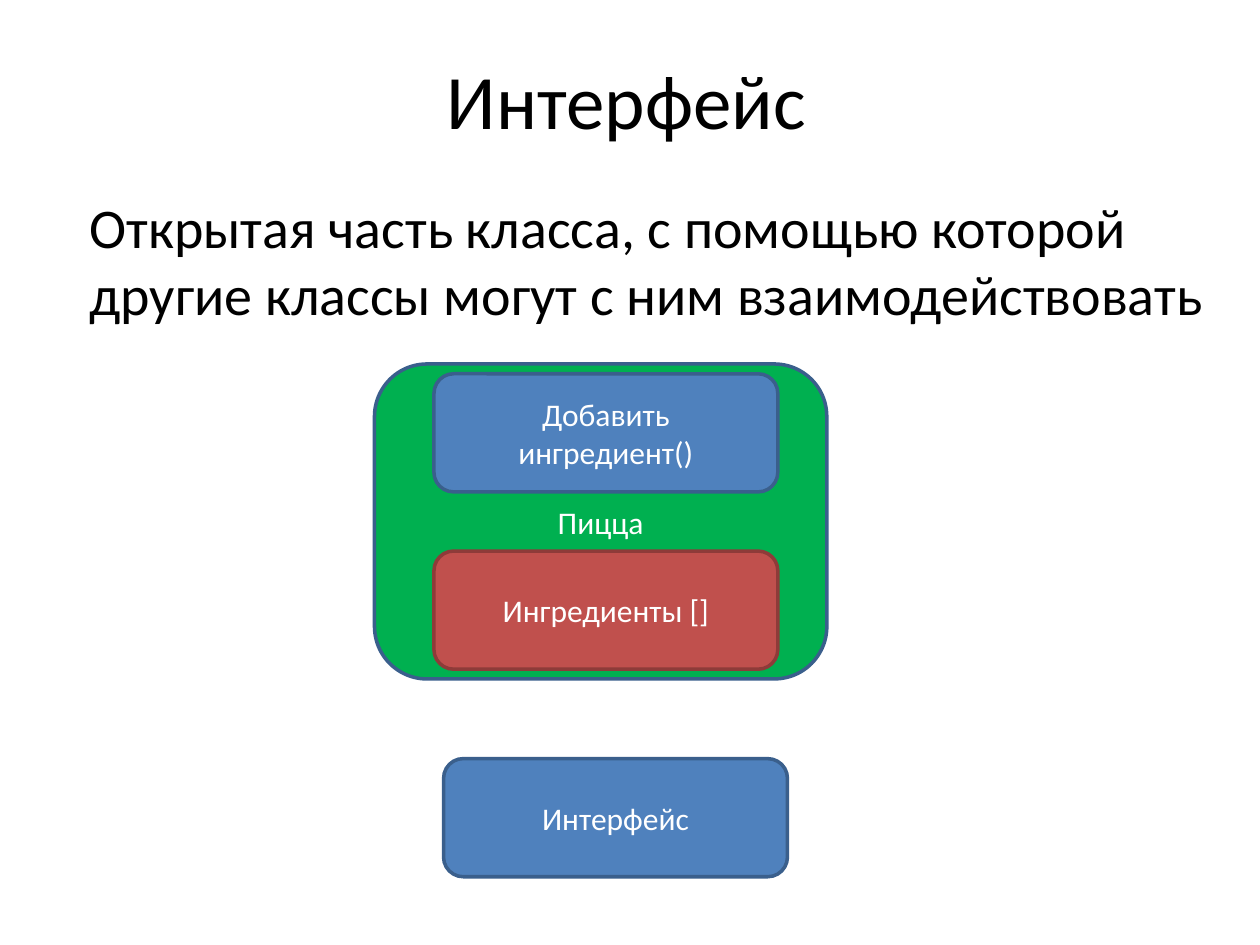
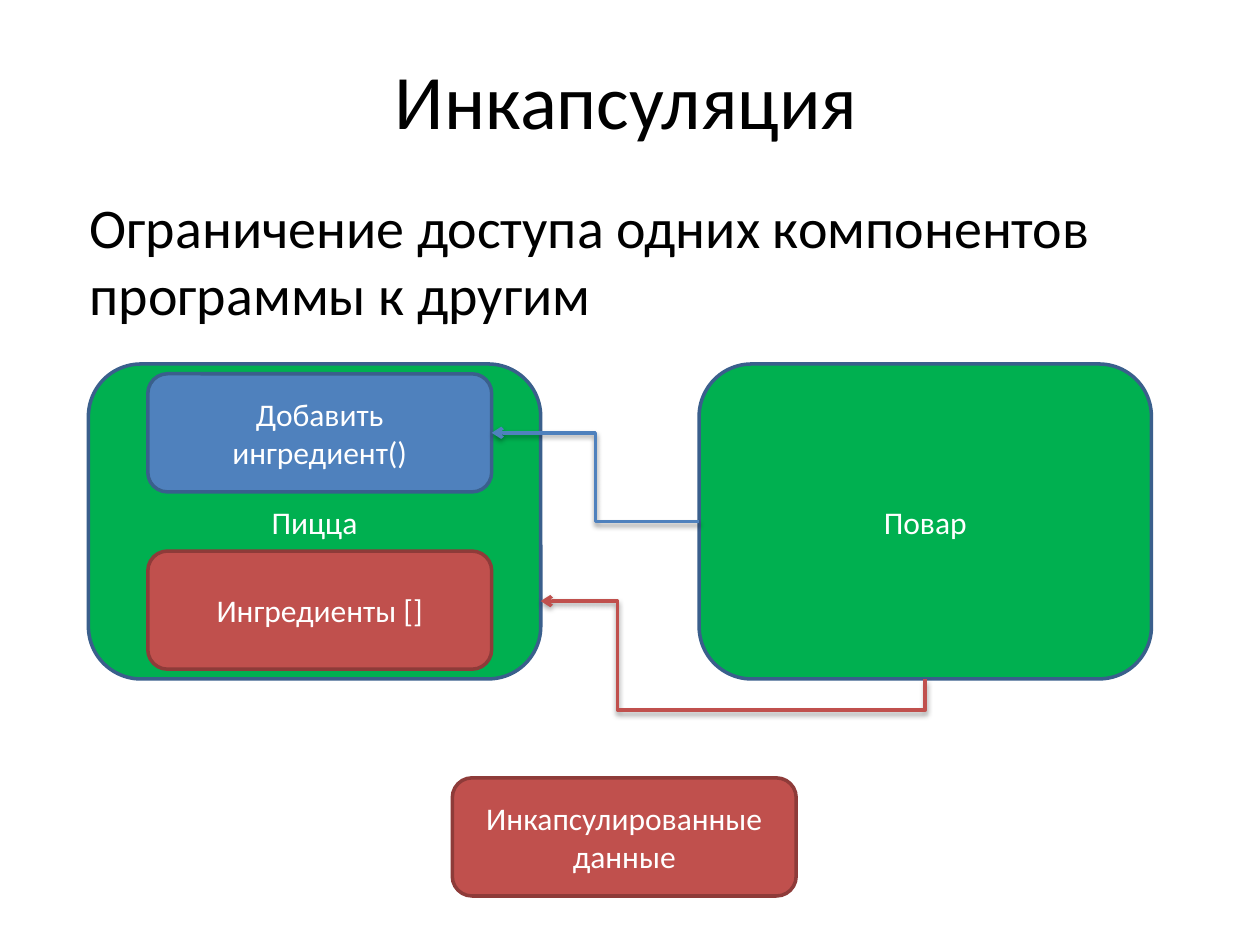
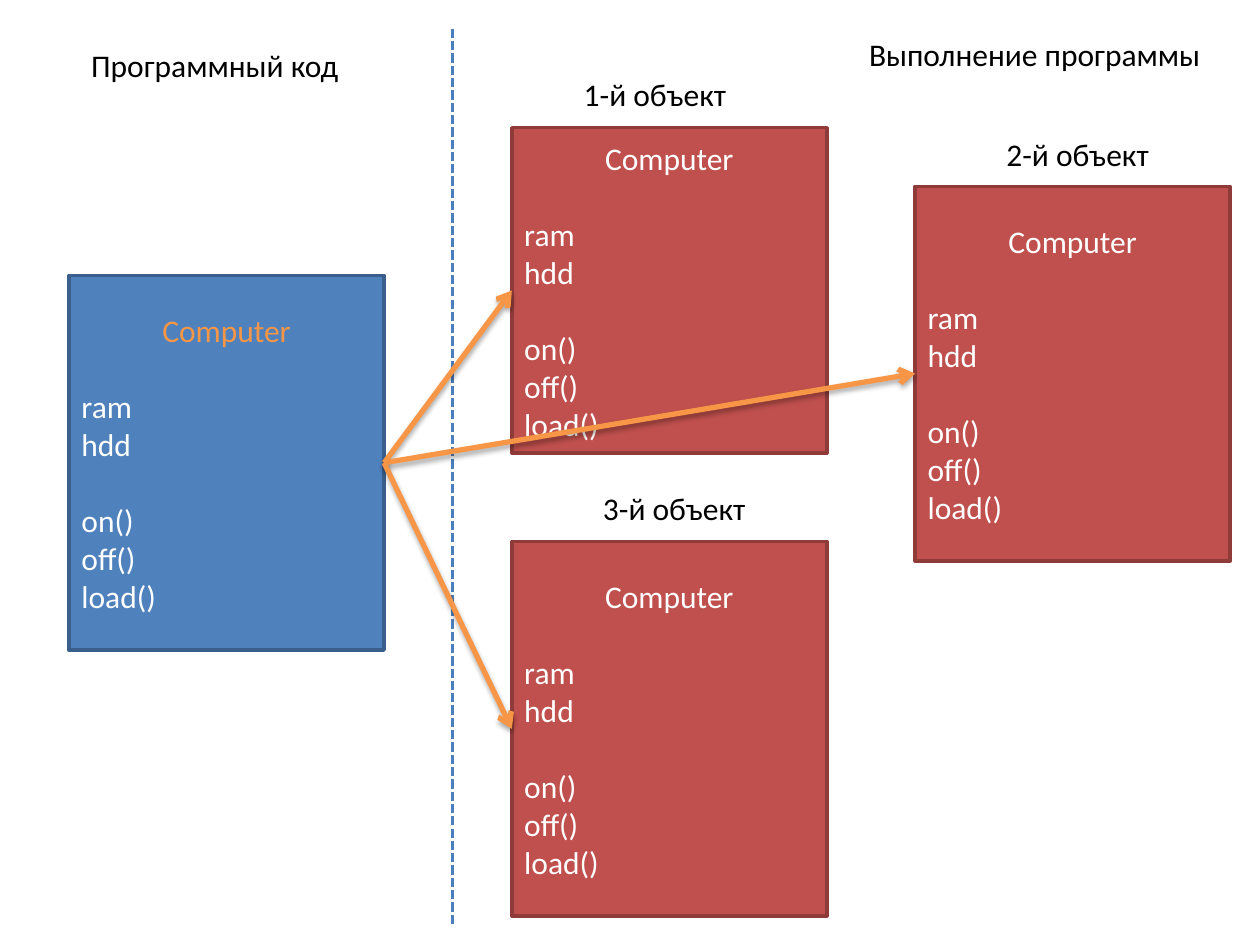
from lxml.etree import SubElement
from pptx import Presentation
from pptx.dml.color import RGBColor
from pptx.enum.dml import MSO_LINE
from pptx.enum.shapes import MSO_CONNECTOR, MSO_SHAPE
from pptx.enum.text import MSO_ANCHOR, MSO_AUTO_SIZE, PP_ALIGN
from pptx.oxml.ns import qn
from pptx.util import Pt

FONT = "Calibri"
BLACK, WHITE = "000000", "FFFFFF"
GREEN, BLUE, RED, ORANGE = "00B050", "4F81BD", "C0504D", "F79646"
BLUE_EDGE, RED_EDGE, DIVIDER = "3A5F8C", "8E3B39", "4B7EBC"
EDGES = {GREEN: BLUE_EDGE, BLUE: BLUE_EDGE, RED: RED_EDGE}
TITLE_BOX = (34, 11.5, 648, 90)
DEFINITION_BOX = (17, 106.5, 692, 98.5)
HANGING_INDENT = 27
CLASS_TOP, CLASS_SIZE = 208, (258.5, 180)
MEMBER_SIZE = (196.5, 67.5)
MEMBER_LEFT, MEMBER_INSET = 34, 5.6
CARD_WIDTH, CARD_HEIGHT = 180, 214
LINE_HEIGHT = 22
LEFT_SITE, RIGHT_SITE = 1, 3


def rgb(color):
    """Turn a hex string into a colour."""
    return RGBColor.from_string(color)


def points(values):
    """Turn numbers into lengths in points."""
    return [Pt(value) for value in values]


def write(paragraph, text, size=18, color=BLACK, align=PP_ALIGN.LEFT, before=0):
    """Write one formatted run into a paragraph."""
    run = paragraph.add_run()
    run.text = text
    run.font.name = FONT
    run.font.size = Pt(size)
    run.font.color.rgb = rgb(color)
    paragraph.alignment = align
    paragraph.space_before = Pt(before)


def add_block(slide, preset, box, fill):
    """Add a filled, outlined shape whose text is centred vertically."""
    block = slide.shapes.add_shape(preset, *points(box))
    block.shadow.inherit = False
    block.fill.solid()
    block.fill.fore_color.rgb = rgb(fill)
    block.line.color.rgb = rgb(EDGES[fill])
    block.line.width = Pt(2)
    block.text_frame.word_wrap = True
    block.text_frame.vertical_anchor = MSO_ANCHOR.MIDDLE
    return block


def add_node(slide, text, box, fill):
    """Add a rounded block with one centred caption."""
    node = add_block(slide, MSO_SHAPE.ROUNDED_RECTANGLE, box, fill)
    write(node.text_frame.paragraphs[0], text, color=WHITE, align=PP_ALIGN.CENTER)
    return node


def add_label(slide, text, box):
    """Add a one-line label."""
    frame = slide.shapes.add_textbox(*points(box)).text_frame
    frame.word_wrap = False
    frame.auto_size = MSO_AUTO_SIZE.SHAPE_TO_FIT_TEXT
    write(frame.paragraphs[0], text)


def add_line(slide, kind, start, end, color, width):
    """Add a connector without a shadow."""
    line = slide.shapes.add_connector(kind, *points(start + end))
    line.line.color.rgb = rgb(color)
    line.line.width = Pt(width)
    SubElement(line._element.spPr, qn("a:effectLst"))
    return line


def add_arrow(slide, kind, start, end, color, width, tip="a:tailEnd", opacity=38):
    """Add a connector with an open arrowhead and a soft shadow below."""
    arrow = add_line(slide, kind, start, end, color, width)
    properties = arrow._element.spPr
    SubElement(properties.find(qn("a:ln")), qn(tip), type="arrow")
    shadow = SubElement(properties.find(qn("a:effectLst")), qn("a:outerShdw"),
                        blurRad=str(Pt(3.1)), dist=str(Pt(1.7)), dir="5400000", rotWithShape="0")
    shade = SubElement(shadow, qn("a:srgbClr"), val=BLACK)
    SubElement(shade, qn("a:alpha"), val=str(opacity * 1000))
    return arrow


def join(arrow, source, target):
    """Glue an arrow to two blocks between facing sides."""
    sites = (RIGHT_SITE, LEFT_SITE) if source.left < target.left else (LEFT_SITE, RIGHT_SITE)
    arrow.begin_connect(source, sites[0])
    arrow.end_connect(target, sites[1])


def route_around(arrow, bend_x, bend_y):
    """Give an elbow three bends, placed as shares of its width and height."""
    geometry = arrow._element.spPr.find(qn("a:prstGeom"))
    geometry.set("prst", "bentConnector4")
    guides = geometry.find(qn("a:avLst"))
    for name, share in (("adj1", bend_x), ("adj2", bend_y)):
        SubElement(guides, qn("a:gd"), name=name, fmla=f"val {round(share * 100000)}")


def add_definition_slide(deck, title, definition):
    """Add a slide with a title and the definition of a term."""
    slide = deck.slides.add_slide(deck.slide_layouts[5])
    heading = slide.shapes.title
    heading.left, heading.top, heading.width, heading.height = points(TITLE_BOX)
    heading.text_frame.vertical_anchor = MSO_ANCHOR.MIDDLE
    write(heading.text_frame.paragraphs[0], title, size=44, align=PP_ALIGN.CENTER)
    frame = slide.shapes.add_textbox(*points(DEFINITION_BOX)).text_frame
    frame.word_wrap = True
    frame.margin_left += Pt(HANGING_INDENT)
    write(frame.paragraphs[0], definition, size=32)
    return slide


def add_pizza_class(slide, left):
    """Add the pizza class with its open method and closed data."""
    width, height = CLASS_SIZE
    member_width, member_height = MEMBER_SIZE
    add_node(slide, "Пицца", (left, CLASS_TOP, width, height), GREEN)
    method_top = CLASS_TOP + MEMBER_INSET
    data_top = CLASS_TOP + height - MEMBER_INSET - member_height
    member_left = left + MEMBER_LEFT
    method = add_node(slide, "Добавить ингредиент()", (member_left, method_top, *MEMBER_SIZE), BLUE)
    add_node(slide, "Ингредиенты []", (member_left, data_top, *MEMBER_SIZE), RED)
    return method


def add_computer(slide, left, top, height=CARD_HEIGHT, fill=RED, name_color=WHITE):
    """Add a card with the name, fields and methods of the computer class."""
    card = add_block(slide, MSO_SHAPE.RECTANGLE, (left, top, CARD_WIDTH, height), fill)
    frame = card.text_frame
    write(frame.paragraphs[0], "Computer", color=name_color, align=PP_ALIGN.CENTER)
    for group in (("ram", "hdd"), ("on()", "off()", "load()")):
        for position, member in enumerate(group):
            gap = 0 if position else LINE_HEIGHT
            write(frame.add_paragraph(), member, color=WHITE, before=gap)
    return card


def build_interface(deck):
    """Build the slide on interfaces."""
    slide = add_definition_slide(
        deck, "Интерфейс",
        "Открытая часть класса, с помощью которой другие классы могут с ним взаимодействовать")
    add_pizza_class(slide, 214)
    add_node(slide, "Интерфейс", (253.5, 433.5, *MEMBER_SIZE), BLUE)


def build_encapsulation(deck):
    """Build the slide on encapsulation."""
    slide = add_definition_slide(
        deck, "Инкапсуляция", "Ограничение доступа одних компонентов программы к другим")
    pizza_left, cook_left = 50.5, 399.5
    width, height = CLASS_SIZE
    method = add_pizza_class(slide, pizza_left)
    add_node(slide, "Инкапсулированные данные", (258.5, 444.5, *MEMBER_SIZE), RED)
    cook = add_node(slide, "Повар", (cook_left, CLASS_TOP, *CLASS_SIZE), GREEN)
    allowed = add_arrow(slide, MSO_CONNECTOR.ELBOW, (0, 0), (1, 1), BLUE, 2)
    join(allowed, cook, method)
    denied = add_arrow(slide, MSO_CONNECTOR.ELBOW, (pizza_left + width, 343.5),
                       (cook_left + width / 2, CLASS_TOP + height), RED, 2, tip="a:headEnd")
    route_around(denied, 0.2, 1.4)


def build_objects(deck):
    """Build the slide on a class and the objects made from it."""
    slide = deck.slides.add_slide(deck.slide_layouts[6])
    source = add_computer(slide, 39.5, 157.5, fill=BLUE, name_color=ORANGE)
    divider = add_line(slide, MSO_CONNECTOR.STRAIGHT, (258.5, 16.5), (258.5, 528.5), DIVIDER, 1.75)
    divider.line.dash_style = MSO_LINE.SQUARE_DOT
    add_label(slide, "Программный код", (45, 22.5, 157.5, 29))
    add_label(slide, "Выполнение программы", (489.5, 16.5, 206, 29))
    instances = [add_computer(slide, 292.5, 73, height=186),
                 add_computer(slide, 523, 106.5),
                 add_computer(slide, 292.5, 309.5)]
    label_places = ((326.5, 39.5), (568, 73.5), (337.5, 276))
    for number, place in enumerate(label_places, 1):
        add_label(slide, f"{number}-й объект", (*place, 97, 29))
    for instance in instances:
        arrow = add_arrow(slide, MSO_CONNECTOR.STRAIGHT, (0, 0), (1, 1), ORANGE, 3, opacity=35)
        join(arrow, source, instance)


def main():
    """Build and save the deck."""
    deck = Presentation()
    deck.slide_width, deck.slide_height = Pt(720), Pt(540)
    build_interface(deck)
    build_encapsulation(deck)
    build_objects(deck)
    deck.save("out.pptx")


if __name__ == "__main__":
    main()
